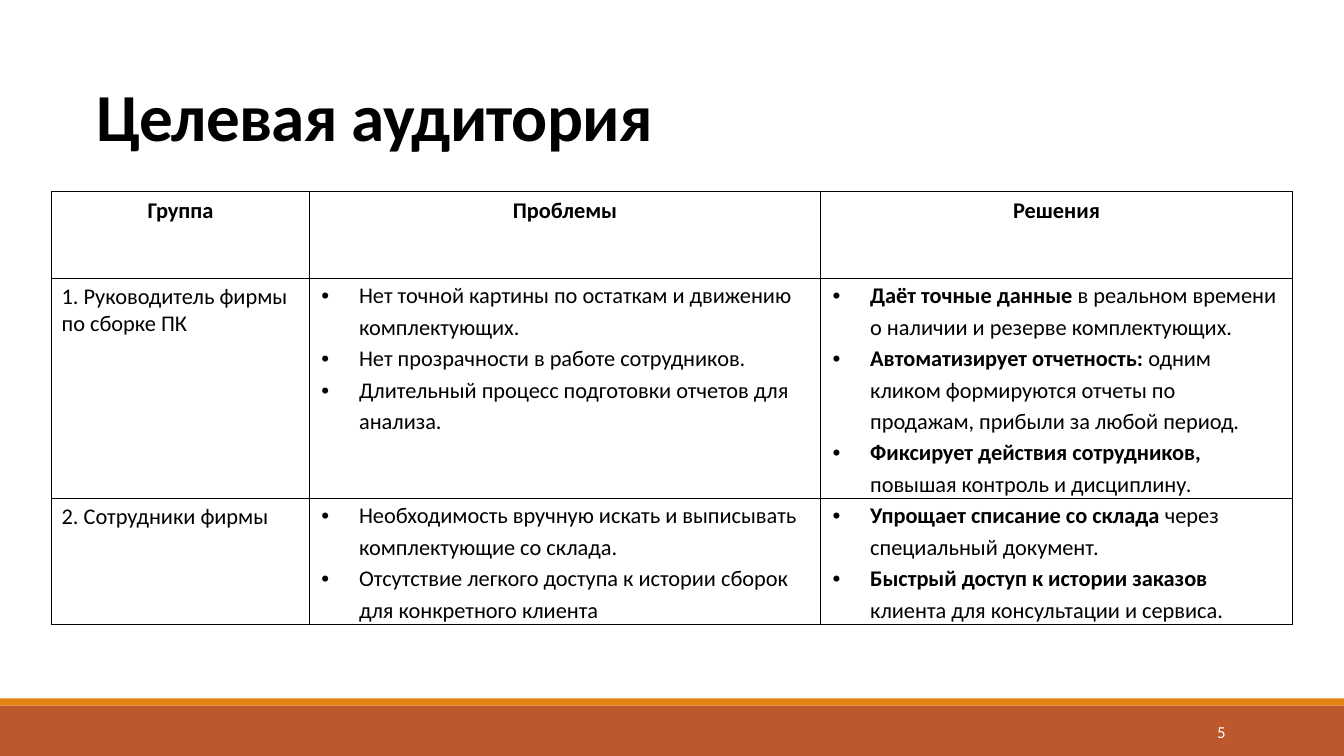
"""Builds the target audience slide with its table of problems and solutions."""
from dataclasses import dataclass
from typing import Any

from lxml import etree
from pptx import Presentation
from pptx.dml.color import RGBColor
from pptx.enum.shapes import MSO_SHAPE
from pptx.enum.text import MSO_ANCHOR, MSO_AUTO_SIZE, PP_ALIGN
from pptx.oxml.ns import qn
from pptx.util import Cm, Pt

RECT = MSO_SHAPE.RECTANGLE
TOP, MIDDLE, BOTTOM = MSO_ANCHOR.TOP, MSO_ANCHOR.MIDDLE, MSO_ANCHOR.BOTTOM
LEFT, CENTER, RIGHT = PP_ALIGN.LEFT, PP_ALIGN.CENTER, PP_ALIGN.RIGHT
NO_FIT = MSO_AUTO_SIZE.NONE
TITLE_ONLY = 5


@dataclass(frozen=True)
class Theme:
    font: str = "Calibri"
    bullet_font: str = "Arial"
    ink: str = "000000"
    paper: str = "FFFFFF"
    rust: str = "BD582C"
    orange: str = "E48312"
    title_size: int = 48
    table_size: int = 16
    number_size: int = 12


@dataclass(frozen=True)
class Bar:
    top: float
    height: float
    color: str


@dataclass(frozen=True)
class Item:
    text: str
    lead: str = ""


@dataclass(frozen=True)
class Group:
    name: str
    problems: list[Item]
    solutions: list[Item]


THEME = Theme()
WIDTH, HEIGHT = 33.87, 19.05
BARS = [Bar(17.78, 1.27, THEME.rust), Bar(17.6, 0.18, THEME.orange)]
COLUMNS = [6.5, 12.88, 11.89]
ROWS = [2.18, 4.5, 2.87]
TABLE_HEIGHT = 11.53
INDENT = 0.95
HEADERS = ["Группа", "Проблемы", "Решения"]
GROUPS = [
    Group(
        "1. Руководитель фирмы по сборке ПК",
        [
            Item("Нет точной картины по остаткам и движению комплектующих."),
            Item("Нет прозрачности в работе сотрудников."),
            Item("Длительный процесс подготовки отчетов для анализа."),
        ],
        [
            Item("в реальном времени о наличии и резерве комплектующих.", "Даёт точные данные "),
            Item("одним кликом формируются отчеты по продажам, прибыли за любой период.",
                 "Автоматизирует отчетность: "),
            Item("повышая контроль и дисциплину.", "Фиксирует действия сотрудников, "),
        ],
    ),
    Group(
        "2. Сотрудники фирмы",
        [
            Item("Необходимость вручную искать и выписывать комплектующие со склада."),
            Item("Отсутствие легкого доступа к истории сборок для конкретного клиента"),
        ],
        [
            Item("через специальный документ.", "Упрощает списание со склада "),
            Item(" клиента для консультации и сервиса.", "Быстрый доступ к истории заказов"),
        ],
    ),
]


def apply(target: Any, values: dict[str, Any]) -> None:
    for name, value in values.items():
        setattr(target, name, value)


def add_run(p: Any, text: str, size: int, color: str = THEME.ink, bold: bool = False) -> Any:
    r = p.add_run()
    r.text = text
    apply(r.font, {"name": THEME.font, "size": Pt(size), "bold": bold})
    r.font.color.rgb = RGBColor.from_string(color)
    return r


def add_bar(s: Any, bar: Bar) -> None:
    sp = s.shapes.add_shape(RECT, 0, Cm(bar.top), Cm(WIDTH), Cm(bar.height))
    sp.shadow.inherit = False
    sp.fill.solid()
    sp.fill.fore_color.rgb = RGBColor.from_string(bar.color)
    sp.line.fill.background()


def add_title(s: Any, text: str) -> None:
    sp = s.shapes.title
    apply(sp, {"left": Cm(2.18), "top": Cm(0), "width": Cm(27.94), "height": Cm(4.04)})
    tf = sp.text_frame
    apply(tf, {"vertical_anchor": BOTTOM, "word_wrap": True, "auto_size": NO_FIT})
    p = tf.paragraphs[0]
    apply(p, {"alignment": LEFT, "line_spacing": 0.85})
    r = add_run(p, text, THEME.title_size, bold=True)
    r.font._element.set("spc", "-50")


def add_bullet(p: Any) -> None:
    pPr = p._p.get_or_add_pPr()
    pPr.set("marL", str(Cm(INDENT)))
    pPr.set("indent", str(-Cm(INDENT)))
    etree.SubElement(pPr, qn("a:buFont"), typeface=THEME.bullet_font)
    etree.SubElement(pPr, qn("a:buChar"), char="•")


def format_cell(cell: Any) -> None:
    tcPr = cell._tc.get_or_add_tcPr()
    for side in ("a:lnL", "a:lnR", "a:lnT", "a:lnB"):
        ln = etree.SubElement(tcPr, qn(side), w=str(Pt(1)))
        fill = etree.SubElement(ln, qn("a:solidFill"))
        etree.SubElement(fill, qn("a:srgbClr"), val=THEME.ink)
    cell.fill.background()
    cell.vertical_anchor = TOP


def fill_list(cell: Any, items: list[Item]) -> None:
    apply(cell, {"margin_left": Cm(0.3), "margin_right": Cm(0.3),
                 "margin_top": 0, "margin_bottom": 0})
    tf = cell.text_frame
    for i, item in enumerate(items):
        p = tf.add_paragraph() if i else tf.paragraphs[0]
        last = i == len(items) - 1
        apply(p, {"line_spacing": 1.15, "space_after": Pt(8 if last else 0)})
        add_bullet(p)
        if item.lead:
            add_run(p, item.lead, THEME.table_size, bold=True)
        add_run(p, item.text, THEME.table_size)


def add_audience_table(s: Any) -> None:
    frame = s.shapes.add_table(len(ROWS), len(COLUMNS), Cm(1.3), Cm(4.83),
                               Cm(sum(COLUMNS)), Cm(TABLE_HEIGHT))
    table = frame.table
    apply(table, {"first_row": False, "horz_banding": False})
    for column, width in zip(table.columns, COLUMNS):
        column.width = Cm(width)
    for row, height in zip(table.rows, ROWS):
        row.height = Cm(height)
    frame.height = Cm(TABLE_HEIGHT)
    for cell in table.iter_cells():
        format_cell(cell)
    for c, header in enumerate(HEADERS):
        p = table.cell(0, c).text_frame.paragraphs[0]
        p.alignment = CENTER
        add_run(p, header, THEME.table_size, bold=True)
    for r, group in enumerate(GROUPS, start=1):
        add_run(table.cell(r, 0).text_frame.paragraphs[0], group.name, THEME.table_size)
        fill_list(table.cell(r, 1), group.problems)
        fill_list(table.cell(r, 2), group.solutions)


def add_number(s: Any, text: str) -> None:
    sp = s.shapes.add_textbox(Cm(27.51), Cm(17.93), Cm(3.63), Cm(1.02))
    tf = sp.text_frame
    apply(tf, {"word_wrap": True, "vertical_anchor": MIDDLE})
    p = tf.paragraphs[0]
    p.alignment = RIGHT
    add_run(p, text, THEME.number_size, THEME.paper)


def main() -> None:
    prs = Presentation()
    apply(prs, {"slide_width": Cm(WIDTH), "slide_height": Cm(HEIGHT)})
    s = prs.slides.add_slide(prs.slide_layouts[TITLE_ONLY])
    for bar in BARS:
        add_bar(s, bar)
    add_title(s, "Целевая аудитория")
    add_audience_table(s)
    add_number(s, "5")
    prs.save("out.pptx")


if __name__ == "__main__":
    main()
